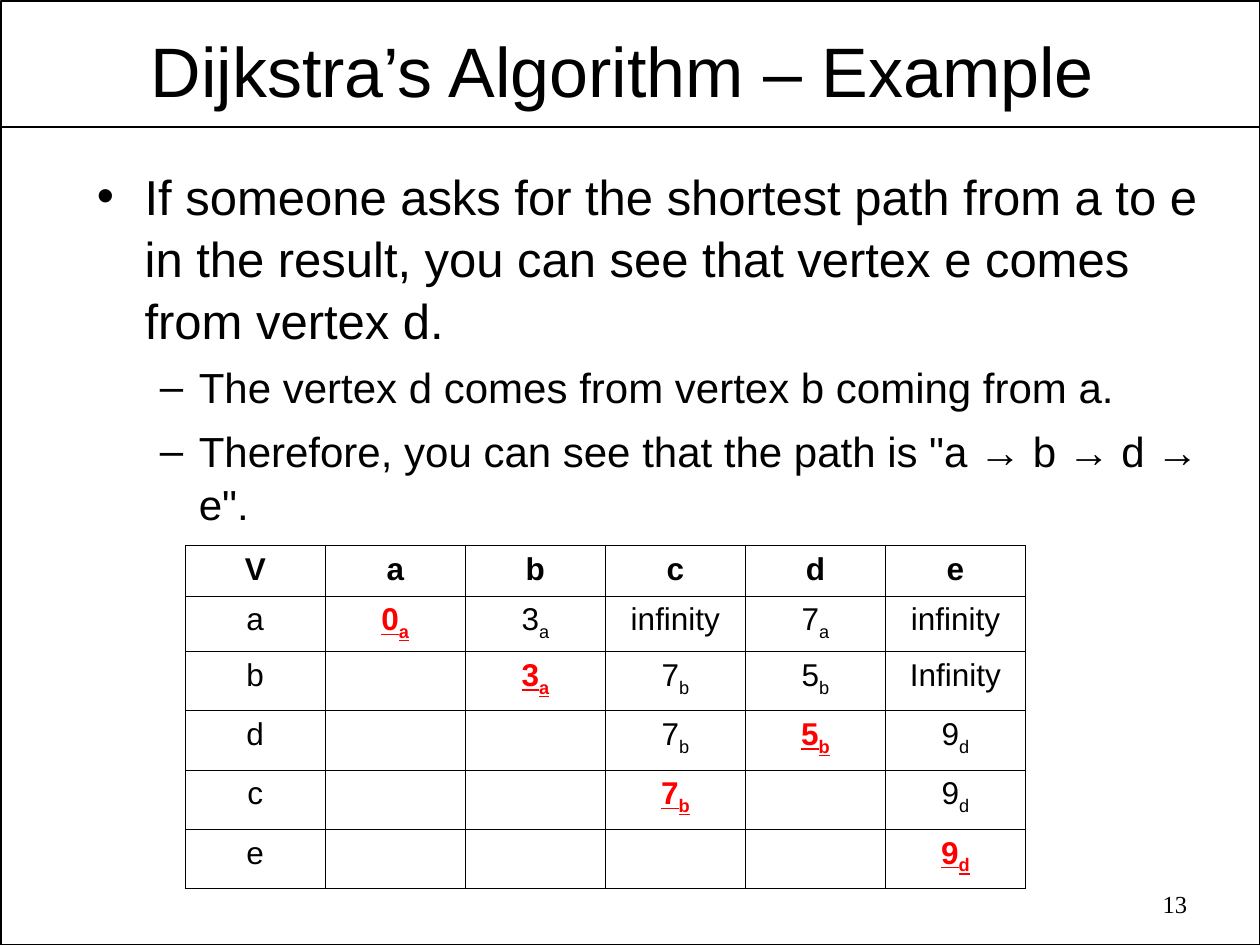
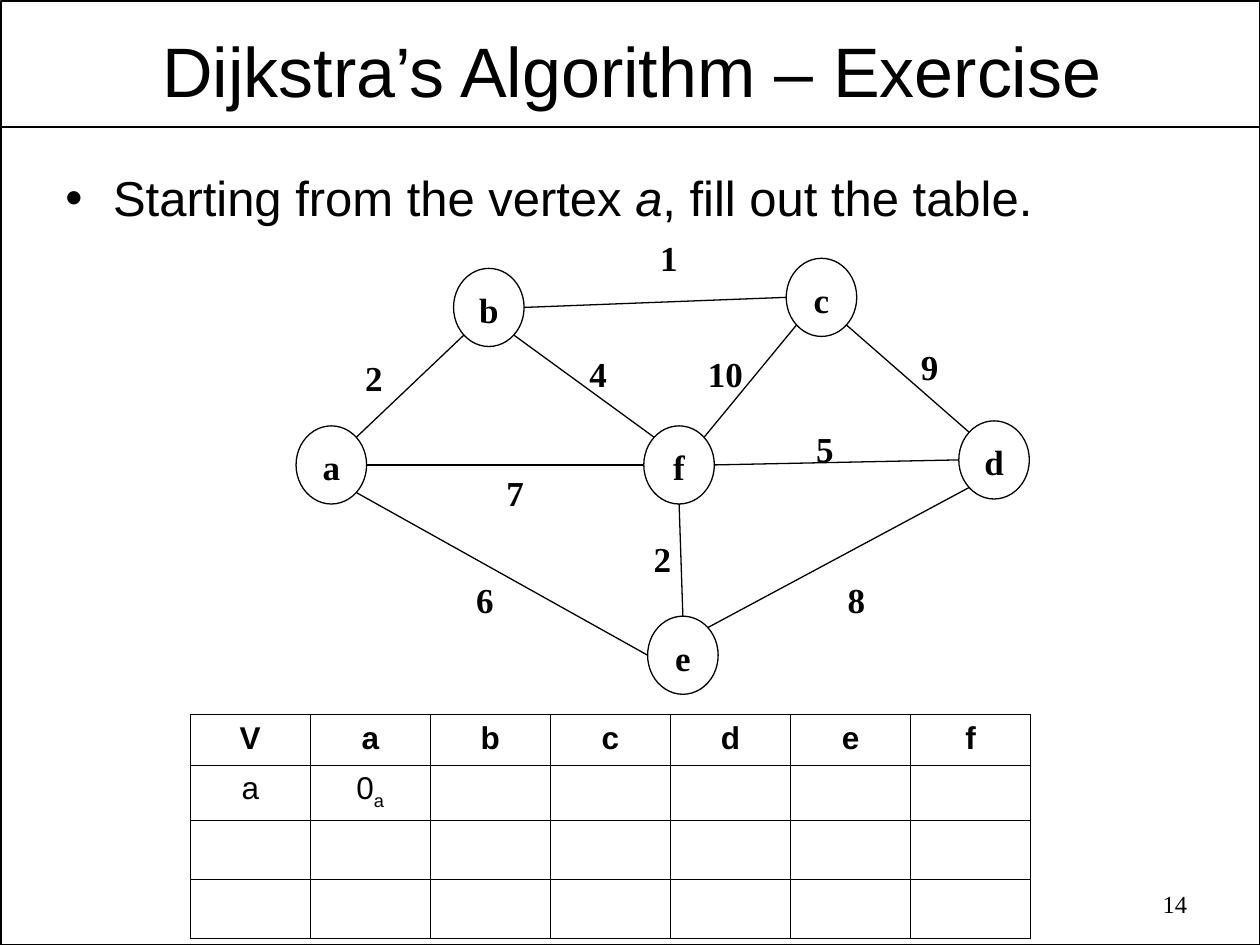
from math import cos, radians, sin

from lxml import etree
from pptx import Presentation
from pptx.dml.color import RGBColor
from pptx.enum import shapes, text
from pptx.oxml import ns
from pptx.util import Emu, Inches, Pt

BLACK, RED = "000000", "FF0000"
SANS, SERIF = "Arial", "Times New Roman"
FRAME_WIDTH, EDGE_WIDTH, GRID_WIDTH = 1, 0.75, 0.45
TITLE_BOX = (0.53, 0.19, 8.97, 0.72)
NUMBER_BOX = (7.18, 7.01, 2.34, 0.36)
# Bullet sign, text indent, hanging indent, size, space before
LEVELS = [("•", 0.38, 0.38, 28, 7), ("–", 0.81, 0.31, 24, 6)]
COMPASS = {"e": 0, "se": 45, "s": 90, "sw": 135, "w": 180, "nw": 225, "n": 270, "ne": 315}


def color(hex_code):
    return RGBColor.from_string(hex_code)


def add_run(paragraph, words, size, font=SANS, ink=BLACK, **style):
    run = paragraph.add_run()
    run.text = words
    run.font.size, run.font.name = Pt(size), font
    run.font.color.rgb = color(ink)
    for name, value in style.items():
        setattr(run.font, name, value)
    return run


def add_text_box(slide, box, wrap=True, margins=(0.1, 0.05)):
    frame = slide.shapes.add_textbox(*map(Inches, box)).text_frame
    frame.word_wrap = wrap
    frame.margin_left = frame.margin_right = Inches(margins[0])
    frame.margin_top = frame.margin_bottom = Inches(margins[1])
    return frame


def add_outline(slide, preset, box, width):
    outline = slide.shapes.add_shape(preset, *map(Inches, box))
    outline.shadow.inherit = False
    outline.fill.background()
    outline.line.color.rgb = color(BLACK)
    outline.line.width = Pt(width)
    return outline


def add_line(slide, start, end, width):
    line = slide.shapes.add_connector(
        shapes.MSO_CONNECTOR.STRAIGHT, *map(Inches, (*start, *end)))
    line.line.color.rgb = color(BLACK)
    line.line.width = Pt(width)
    etree.SubElement(line._element.spPr, ns.qn("a:effectLst"))


# Frame, title and page number shared by all slides
def add_page(deck, title, number):
    slide = deck.slides.add_slide(deck.slide_layouts[6])
    add_outline(slide, shapes.MSO_SHAPE.RECTANGLE, (0.01, 0.01, 9.99, 7.49), FRAME_WIDTH)
    add_line(slide, (0.01, 1.01), (9.99, 1.01), FRAME_WIDTH)

    heading = add_text_box(slide, TITLE_BOX, margins=(0.07, 0.03))
    heading.vertical_anchor = text.MSO_ANCHOR.MIDDLE
    heading.paragraphs[0].alignment = text.PP_ALIGN.CENTER
    add_run(heading.paragraphs[0], title, 40)

    footer = add_text_box(slide, NUMBER_BOX).paragraphs[0]
    footer.alignment = text.PP_ALIGN.RIGHT
    add_run(footer, str(number), 14, SERIF)
    return slide


# Bulleted text: items are (level, [(words, italic), ...])
def add_bullets(slide, box, items):
    frame = add_text_box(slide, box)
    for index, (level, pieces) in enumerate(items):
        paragraph = frame.add_paragraph() if index else frame.paragraphs[0]
        sign, indent, hanging, size, before = LEVELS[level]
        paragraph.level = level
        paragraph.space_before = Pt(before)
        paragraph.line_spacing = 1.05
        props = paragraph._p.get_or_add_pPr()
        props.set("marL", str(Inches(indent)))
        props.set("indent", str(-Inches(hanging)))
        etree.SubElement(props, ns.qn("a:buFont"), typeface=SANS)
        etree.SubElement(props, ns.qn("a:buChar"), char=sign)
        for words, italic in pieces:
            add_run(paragraph, words, size, italic=italic)


def border_cell(cell):
    props = cell._tc.get_or_add_tcPr()
    for index, side in enumerate(("lnL", "lnR", "lnT", "lnB")):
        border = etree.Element(ns.qn(f"a:{side}"), w=str(Pt(GRID_WIDTH)))
        fill = etree.SubElement(border, ns.qn("a:solidFill"))
        etree.SubElement(fill, ns.qn("a:srgbClr"), val=BLACK)
        props.insert(index, border)


# Distance table: "7_b" puts b below the line, a leading * marks the chosen vertex
def add_distances(slide, box, rows):
    left, top, width, height = map(Inches, box)
    columns = len(rows[0])
    table = slide.shapes.add_table(len(rows), columns, left, top, width, height).table
    table.first_row = table.horz_banding = False
    for column in table.columns:
        column.width = Emu(width // columns)
    for r, entries in enumerate(rows):
        table.rows[r].height = Inches((0.4, 0.44)[r] if r < 2 else 0.47)
        for c, entry in enumerate(entries):
            cell = table.cell(r, c)
            cell.fill.background()
            border_cell(cell)
            if not entry:
                continue
            paragraph = cell.text_frame.paragraphs[0]
            paragraph.alignment = text.PP_ALIGN.CENTER
            chosen = entry.startswith("*")
            distance, _, source = entry.lstrip("*").partition("_")
            style = dict(ink=RED if chosen else BLACK, bold=chosen or r == 0, underline=chosen)
            add_run(paragraph, distance, 18, **style)
            if source:
                below = add_run(paragraph, source, 18, **style)
                below.font._element.set("baseline", "-25000")


# Weighted graph: places are relative to the top left of its box
def add_graph(slide, box, vertices, edges):
    left, top = box[:2]
    vertex_w, vertex_h = 0.56, 0.62

    def rim(name, side):
        x, y = vertices[name]
        angle = radians(COMPASS[side])
        return (left + x + vertex_w / 2 * (1 + cos(angle)),
                top + y + vertex_h / 2 * (1 + sin(angle)))

    for name, (x, y) in vertices.items():
        vertex = add_outline(slide, shapes.MSO_SHAPE.OVAL,
                             (left + x, top + y, vertex_w, vertex_h), EDGE_WIDTH)
        frame = vertex.text_frame
        frame.margin_left = frame.margin_right = 0
        frame.margin_top, frame.margin_bottom = Inches(0.03), 0
        frame.word_wrap = False
        frame.vertical_anchor = text.MSO_ANCHOR.MIDDLE
        frame.paragraphs[0].alignment = text.PP_ALIGN.CENTER
        add_run(frame.paragraphs[0], name, 20, SERIF, bold=True)

    for start, start_side, end, end_side, weight, (x, y) in edges:
        add_line(slide, rim(start, start_side), rim(end, end_side), EDGE_WIDTH)
        label_w = 0.2 + 0.14 * len(weight)
        label = add_text_box(slide, (left + x, top + y, label_w, 0.44), wrap=False)
        add_run(label.paragraphs[0], weight, 20, SERIF, bold=True)


def add_example(deck):
    slide = add_page(deck, "Dijkstra’s Algorithm – Example ", 13)
    add_bullets(slide, (0.67, 1.25, 9.17, 2.92), [
        (0, [("If someone asks for the shortest path from a to e in the result, "
              "you can see that vertex e comes from vertex d.", False)]),
        (1, [("The vertex d comes from vertex b coming from a.", False)]),
        (1, [('Therefore, you can see that the path is "a → b → d → e".', False)]),
    ])
    add_distances(slide, (1.47, 4.33, 6.67, 2.72), [
        ["V", "a", "b", "c", "d", "e"],
        ["a", "*0_a", "3_a", "infinity", "7_a", "infinity"],
        ["b", "", "*3_a", "7_b", "5_b", "Infinity"],
        ["d", "", "", "7_b", "*5_b", "9_d"],
        ["c", "", "", "*7_b", "", "9_d"],
        ["e", "", "", "", "", "*9_d"],
    ])


def add_exercise(deck):
    slide = add_page(deck, "Dijkstra’s Algorithm – Exercise", 14)
    add_bullets(slide, (0.42, 1.26, 9.17, 0.66), [
        (0, [("Starting from the vertex ", False), ("a", True),
             (", fill out the table.", False)]),
    ])
    vertices = {"a": (0, 1.55), "b": (1.25, 0.3), "c": (3.89, 0.22),
                "d": (5.26, 1.51), "f": (2.76, 1.55), "e": (2.79, 3.06)}
    # Start and its side, end and its side, weight, place of the weight
    edges = [
        ("b", "sw", "a", "ne", "2", (0.45, 0.95)),
        ("c", "w", "b", "e", "1", (2.79, 0)),
        ("f", "w", "a", "e", "7", (1.57, 1.86)),
        ("e", "w", "a", "se", "6", (1.33, 2.71)),
        ("e", "n", "f", "s", "2", (2.74, 2.39)),
        ("f", "ne", "c", "sw", "10", (3.17, 0.92)),
        ("f", "e", "d", "w", "5", (4.03, 1.51)),
        ("e", "ne", "d", "sw", "8", (4.28, 2.71)),
        ("c", "se", "d", "nw", "9", (4.86, 0.86)),
        ("f", "nw", "b", "se", "4", (2.23, 0.92)),
    ]
    add_graph(slide, (2.35, 1.83, 5.82, 3.68), vertices, edges)
    add_distances(slide, (1.51, 5.67, 6.67, 1.78), [
        ["V", "a", "b", "c", "d", "e", "f"],
        ["a", "0_a"] + [""] * 5,
        [""] * 7,
        [""] * 7,
    ])


def main():
    deck = Presentation()
    deck.slide_width, deck.slide_height = Inches(10), Inches(7.5)
    add_example(deck)
    add_exercise(deck)
    deck.save("out.pptx")


if __name__ == "__main__":
    main()
